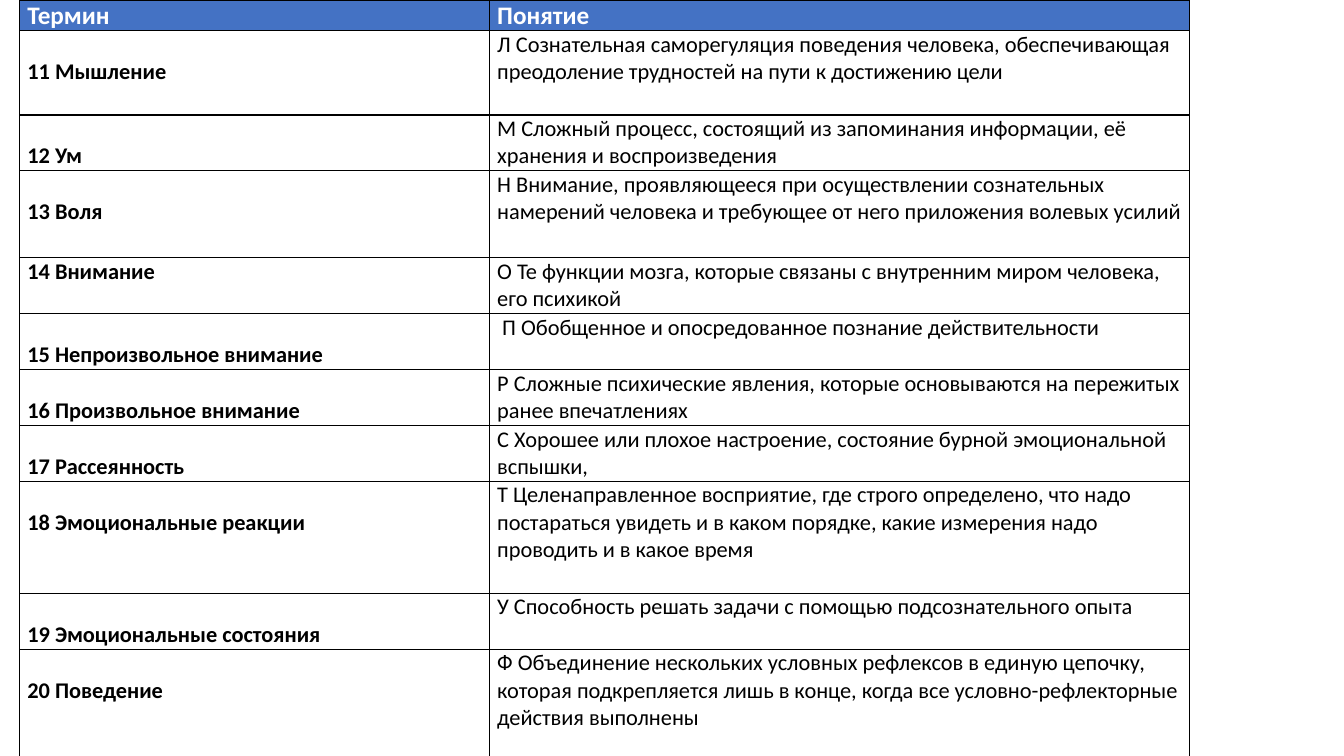
from typing import NamedTuple

from lxml import etree
from pptx import Presentation
from pptx import util as u
from pptx.dml import color
from pptx.enum import text
from pptx.oxml import ns

FONT = "Calibri"
BLACK, WHITE, BLUE = "000000", "FFFFFF", "4472C4"
HEADER_HEIGHT = 0.77
LINE_HEIGHT = 0.69
SIDE_MARGIN = 0.19
COLUMN_WIDTHS = (11.84, 17.63)


class Entry(NamedTuple):
    term: str
    concept: str
    height: float = 1.41
    lowered: bool = True  # the term starts on the second line of its row


class Style(NamedTuple):
    size: int
    ink: str
    fill: str
    bold: bool


HEADER = Style(18, WHITE, BLUE, True)
TERM = Style(16, BLACK, WHITE, True)
CONCEPT = Style(16, BLACK, WHITE, False)

ENTRIES = [
    Entry("11 Мышление", "Л Сознательная саморегуляция поведения человека, обеспечивающая "
          "преодоление трудностей на пути к достижению цели", 2.12),
    Entry("12 Ум", "М Сложный процесс, состоящий из запоминания информации, её "
          "хранения и воспроизведения"),
    Entry("13 Воля", "Н Внимание, проявляющееся при осуществлении сознательных "
          "намерений человека и требующее от него приложения волевых усилий", 2.19),
    Entry("14 Внимание", "О Те функции мозга, которые связаны с внутренним миром человека, "
          "его психикой", lowered=False),
    Entry("15 Непроизвольное внимание",
          " П Обобщенное и опосредованное познание действительности"),
    Entry("16 Произвольное внимание", "Р Сложные психические явления, которые основываются "
          "на пережитых ранее впечатлениях"),
    Entry("17 Рассеянность", "С Хорошее или плохое настроение, состояние бурной "
          "эмоциональной вспышки,"),
    Entry("18 Эмоциональные реакции", "Т Целенаправленное восприятие, где строго определено, "
          "что надо постараться увидеть и в каком порядке, какие измерения надо "
          "проводить и в какое время", 2.82),
    Entry("19 Эмоциональные состояния",
          "У Способность решать задачи с помощью подсознательного опыта"),
    Entry("20 Поведение", "Ф Объединение нескольких условных рефлексов в единую цепочку, "
          "которая подкрепляется лишь в конце, когда все условно-рефлекторные "
          "действия выполнены", 2.82),
]


def rgb(value: str) -> color.RGBColor:
    return color.RGBColor.from_string(value)


def add_borders(cell) -> None:
    properties = cell._tc.get_or_add_tcPr()
    for side in ("lnL", "lnR", "lnT", "lnB"):
        line = etree.SubElement(properties, ns.qn(f"a:{side}"), w=str(u.Pt(1)))
        solid = etree.SubElement(line, ns.qn("a:solidFill"))
        etree.SubElement(solid, ns.qn("a:srgbClr"), val=BLACK)


def fill_cell(cell, words: str, style: Style, top: float = 0) -> None:
    add_borders(cell)
    cell.fill.solid()
    cell.fill.fore_color.rgb = rgb(style.fill)
    cell.margin_left = cell.margin_right = u.Cm(SIDE_MARGIN)
    cell.margin_top, cell.margin_bottom = u.Cm(top), u.Cm(0)
    cell.vertical_anchor = text.MSO_ANCHOR.TOP
    para = cell.text_frame.paragraphs[0]
    para.text = words
    for span in para.runs:
        span.font.name = FONT
        span.font.size = u.Pt(style.size)
        span.font.bold = style.bold
        span.font.color.rgb = rgb(style.ink)


def add_glossary(page) -> None:
    height = HEADER_HEIGHT + sum(entry.height for entry in ENTRIES)
    table = page.shapes.add_table(
        len(ENTRIES) + 1, len(COLUMN_WIDTHS), u.Cm(0.5), u.Cm(0),
        u.Cm(sum(COLUMN_WIDTHS)), u.Cm(height)).table
    for column, width in zip(table.columns, COLUMN_WIDTHS):
        column.width = u.Cm(width)

    # Header row
    table.rows[0].height = u.Cm(HEADER_HEIGHT)
    for index, title in enumerate(("Термин", "Понятие")):
        fill_cell(table.cell(0, index), title, HEADER)

    # Terms and concepts
    for row, entry in enumerate(ENTRIES, start=1):
        table.rows[row].height = u.Cm(entry.height)
        fill_cell(table.cell(row, 0), entry.term, TERM, LINE_HEIGHT if entry.lowered else 0)
        fill_cell(table.cell(row, 1), entry.concept, CONCEPT)


def main() -> None:
    deck = Presentation()
    deck.slide_width, deck.slide_height = u.Cm(33.87), u.Cm(19.05)
    page = deck.slides.add_slide(deck.slide_layouts[6])
    add_glossary(page)
    deck.save("out.pptx")


if __name__ == "__main__":
    main()
